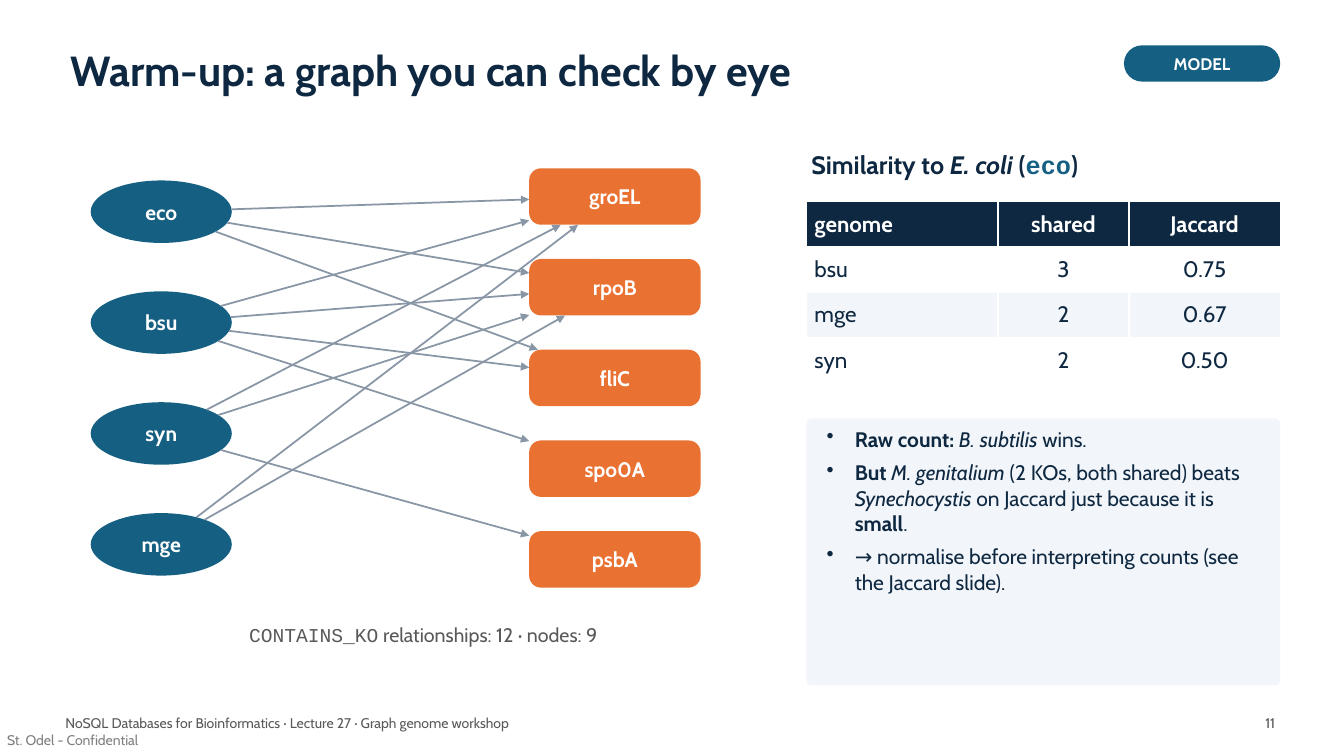
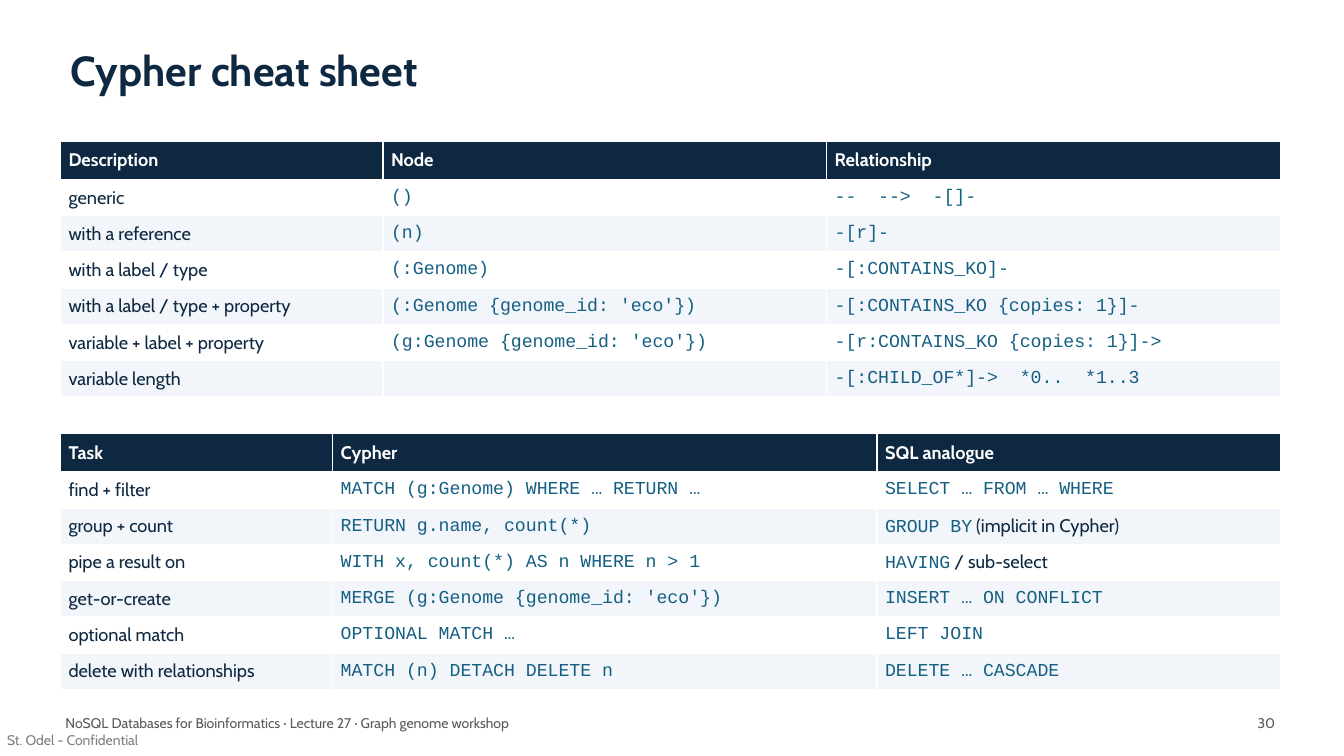
import math
from lxml import etree
from pptx import Presentation
from pptx import util as u
from pptx.dml.color import RGBColor
from pptx.enum import shapes, text
from pptx.oxml.ns import qn

HUE = dict(navy="0E2841", teal="156082", rust="E97132", pale="F2F5F9",
           white="FFFFFF", grey="595959", mist="7F7F7F", steel="8896A5")
SANS, MONO = "Cabin", "Courier New"
LEFT, MID, RIGHT = text.PP_ALIGN.LEFT, text.PP_ALIGN.CENTER, text.PP_ALIGN.RIGHT
WIDE, TALL = 133.33, 75  # grid steps of a tenth of an inch
EDGE, SPAN = 6, 121
FOOT = "NoSQL Databases for Bioinformatics · Lecture 27 · Graph genome workshop"


def step(count):
    return u.Emu(round(count * 91440))


def place(box):
    return [step(part) for part in box]


def rgb(name):
    return RGBColor.from_string(HUE[name])


def sub(node, tag, **attrs):
    return etree.SubElement(node, qn(tag), attrs)


def fill_para(para, runs, size, hue, bold=False, align=LEFT, after=0):
    """Runs are one string or (text, marks) pairs: b bold, i italic, m mono, t teal."""
    para.alignment = align
    para.space_after = u.Pt(after)
    pairs = [(runs, "")] if isinstance(runs, str) else runs
    same = set.intersection(*(set(marks) for _, marks in pairs))
    font = para.font
    font.size, font.bold = u.Pt(size), bold or "b" in same
    font.name = MONO if "m" in same else SANS
    font.color.rgb = rgb("teal" if "t" in same else hue)
    for words, marks in pairs:
        run = para.add_run()
        run.text = words
        for mark in set(marks) - same:
            if mark == "b":
                run.font.bold = True
            elif mark == "i":
                run.font.italic = True
            elif mark == "m":
                run.font.name = MONO
            else:
                run.font.color.rgb = rgb("teal")


def pad(frame, wide, high):
    frame.margin_left = frame.margin_right = step(wide)
    frame.margin_top = frame.margin_bottom = step(high)


def label(slide, box, runs, size, hue, inset=(0.5, 0.3), wrap=True, **look):
    frame = slide.shapes.add_textbox(*place(box)).text_frame
    frame.word_wrap = wrap
    pad(frame, *inset)
    fill_para(frame.paragraphs[0], runs, size, hue, **look)
    return frame


def block(slide, kind, box, hue, words="", size=15, round_by=None):
    shape = slide.shapes.add_shape(kind, *place(box))
    shape.shadow.inherit = False
    shape.fill.solid()
    shape.fill.fore_color.rgb = rgb(hue)
    shape.line.fill.background()
    if round_by is not None:
        shape.adjustments[0] = round_by
    if words:
        frame = shape.text_frame
        frame.vertical_anchor = text.MSO_ANCHOR.MIDDLE
        pad(frame, 0.6, 0.3)
        fill_para(frame.paragraphs[0], words, size, "white", True, MID)


def arrow(slide, start, end):
    line = slide.shapes.add_connector(shapes.MSO_CONNECTOR.STRAIGHT,
                                      *place(start + end))
    line.line.color.rgb = rgb("steel")
    line.line.width = u.Pt(1.25)
    props = line.element.spPr
    sub(props.find(qn("a:ln")), "a:tailEnd", type="triangle")
    sub(props, "a:effectLst")


def frame_slide(deck, title, number, tag=None):
    """Add a slide with the shared title, footer and optional tag."""
    slide = deck.slides.add_slide(deck.slide_layouts[6])
    label(slide, (0.7, 72.6, 13.4, 1.7), "St. Odel - Confidential", 10, "mist",
          inset=(0, 0), wrap=False)
    head = label(slide, (EDGE, 3, 104 if tag else SPAN, 8.5), title, 30, "navy",
                 inset=(1, 0.5), bold=True)
    head.vertical_anchor = text.MSO_ANCHOR.MIDDLE
    head.paragraphs[0].line_spacing = 0.9
    label(slide, (EDGE, 70.6, 95, 3), FOOT, 10, "grey")
    label(slide, (EDGE + SPAN - 10, 70.6, 10, 3), str(number), 10, "grey", align=RIGHT)
    if tag:
        block(slide, shapes.MSO_SHAPE.ROUNDED_RECTANGLE,
              (EDGE + SPAN - 15.5, 4.5, 15.5, 3.6), "teal", tag, 12, 0.5)
    return slide


def edge(cell):
    """Give a table cell thin white borders."""
    props = cell._tc.get_or_add_tcPr()
    for side in ("L", "R", "T", "B"):
        line = sub(props, f"a:ln{side}", w="12700")
        sub(sub(line, "a:solidFill"), "a:srgbClr", val=HUE["white"])


def grid(slide, spot, cols, rows, size, high, top=None, marks="", aligns=None):
    """Draw a banded table; marks style the plain body cells after column one."""
    top = top or high
    box = (*spot, sum(cols), top + high * (len(rows) - 1))
    table = slide.shapes.add_table(len(rows), len(cols), *place(box)).table
    table.horz_banding = False
    for col, width in zip(table.columns, cols):
        col.width = step(width)
    for r, row in enumerate(rows):
        table.rows[r].height = step(high if r else top)
        back = ("pale" if r % 2 == 0 else "white") if r else "navy"
        for c, words in enumerate(row):
            cell = table.cell(r, c)
            edge(cell)
            cell.fill.solid()
            cell.fill.fore_color.rgb = rgb(back)
            cell.vertical_anchor = text.MSO_ANCHOR.MIDDLE
            pad(cell, 0.8, 0.4)
            if not words:
                cell.text_frame.paragraphs[0].font.size = u.Pt(size)
                continue
            if r and c and isinstance(words, str):
                words = [(words, marks)]
            fill_para(cell.text_frame.paragraphs[0], words, size,
                      "navy" if r else "white", bold=not r,
                      align=aligns[c] if aligns else LEFT)


def graph(slide, box, links, genes):
    """Draw genomes left, genes right, and arrows clipped to both outlines."""
    left, top, wide, high = box
    oval, card = (14, 6.2), (17, 5.6)

    def column(names, mid, pitch):
        first = top + high / 2 - pitch * (len(names) - 1) / 2
        return {name: (mid, first + pitch * i) for i, name in enumerate(names)}

    ovals = column(links, left + oval[0] / 2, 11)
    cards = column(genes, left + wide - card[0] / 2, 9)
    for spots, size, kind, hue, bend in (
            (ovals, oval, shapes.MSO_SHAPE.OVAL, "teal", None),
            (cards, card, shapes.MSO_SHAPE.ROUNDED_RECTANGLE, "rust", 0.21)):
        for name, (x, y) in spots.items():
            block(slide, kind, (x - size[0] / 2, y - size[1] / 2, *size),
                  hue, name, round_by=bend)
    for name, targets in links.items():
        for gene in targets.split():
            (x, y), (gx, gy) = ovals[name], cards[gene]
            dx, dy = gx - x, gy - y
            out = 0.5 / math.hypot(dx / oval[0], dy / oval[1])
            back = 0.5 / max(abs(dx) / card[0], abs(dy) / card[1])
            arrow(slide, (x + dx * out, y + dy * out), (gx - dx * back, gy - dy * back))


def notes(slide, box, items):
    """Draw a pale panel with a bulleted list."""
    x, y, w, h = box
    block(slide, shapes.MSO_SHAPE.ROUNDED_RECTANGLE, box, "pale", round_by=0.02)
    frame = slide.shapes.add_textbox(*place((x + 1.5, y + 0.5, w - 3, h - 1))).text_frame
    frame.word_wrap = True
    pad(frame, 0.5, 0.3)
    for i, runs in enumerate(items):
        para = frame.add_paragraph() if i else frame.paragraphs[0]
        props = para._p.get_or_add_pPr()
        props.set("marL", str(step(2.8)))
        props.set("indent", str(-step(2.8)))
        sub(props, "a:buChar", char="•")
        fill_para(para, runs, 15, "navy", after=6)


def warm_up(deck):
    slide = frame_slide(deck, "Warm-up: a graph you can check by eye", 11, "MODEL")
    links = {"eco": "groEL rpoB fliC", "bsu": "groEL rpoB fliC spo0A",
             "syn": "groEL rpoB psbA", "mge": "groEL rpoB"}
    graph(slide, (9, 16.7, 60.5, 41.6), links,
          ["groEL", "rpoB", "fliC", "spo0A", "psbA"])
    label(slide, (8, 61.5, 68, 7),
          [("CONTAINS_KO", "m"), (" relationships: 12 · nodes: 9", "")],
          14, "grey", align=MID)
    side, wide = 80, 47
    label(slide, (side, 14.5, wide, 4.5),
          [("Similarity to ", ""), ("E. coli", "i"), (" (", ""), ("eco", "mt"), (")", "")],
          18, "navy", bold=True)
    grid(slide, (side, 20), (19, 13, 15),
         [("genome", "shared", "Jaccard"), ("bsu", "3", "0.75"),
          ("mge", "2", "0.67"), ("syn", "2", "0.50")],
         16, 4.5, aligns=(LEFT, MID, MID))
    notes(slide, (side, 41.5, wide, 26.5), [
        [("Raw count: ", "b"), ("B. subtilis", "i"), (" wins.", "")],
        [("But ", "b"), ("M. genitalium", "i"), (" (2 KOs, both shared) beats ", ""),
         ("Synechocystis", "i"), (" on Jaccard just because it is ", ""),
         ("small", "b"), (".", "")],
        "→ normalise before interpreting counts (see the Jaccard slide).",
    ])


def cheat_sheet(deck):
    slide = frame_slide(deck, "Cypher cheat sheet", 30)
    syntax = [
        ("Description", "Node", "Relationship"),
        ("generic", "()", "--  -->  -[]-"),
        ("with a reference", "(n)", "-[r]-"),
        ("with a label / type", "(:Genome)", "-[:CONTAINS_KO]-"),
        ("with a label / type + property", "(:Genome {genome_id: 'eco'})",
         "-[:CONTAINS_KO {copies: 1}]-"),
        ("variable + label + property", "(g:Genome {genome_id: 'eco'})",
         "-[r:CONTAINS_KO {copies: 1}]->"),
        ("variable length", "", "-[:CHILD_OF*]->  *0..  *1..3"),
    ]
    tasks = [
        ("Task", "Cypher", "SQL analogue"),
        ("find + filter", "MATCH (g:Genome) WHERE … RETURN …", "SELECT … FROM … WHERE"),
        ("group + count", "RETURN g.name, count(*)",
         [("GROUP BY", "mt"), (" (implicit in Cypher)", "")]),
        ("pipe a result on", "WITH x, count(*) AS n WHERE n > 1",
         [("HAVING", "mt"), (" / sub-select", "")]),
        ("get-or-create", "MERGE (g:Genome {genome_id: 'eco'})", "INSERT … ON CONFLICT"),
        ("optional match", "OPTIONAL MATCH …", "LEFT JOIN"),
        ("delete with relationships", "MATCH (n) DETACH DELETE n", "DELETE … CASCADE"),
    ]
    for top, cols, rows in ((14, (32, 44, 45), syntax), (43, (27, 54, 40), tasks)):
        grid(slide, (EDGE, top), cols, rows, 13, 3.6, 3.8, marks="mt")


def main():
    deck = Presentation()
    deck.slide_width, deck.slide_height = step(WIDE), step(TALL)
    warm_up(deck)
    cheat_sheet(deck)
    deck.save("out.pptx")


if __name__ == "__main__":
    main()
